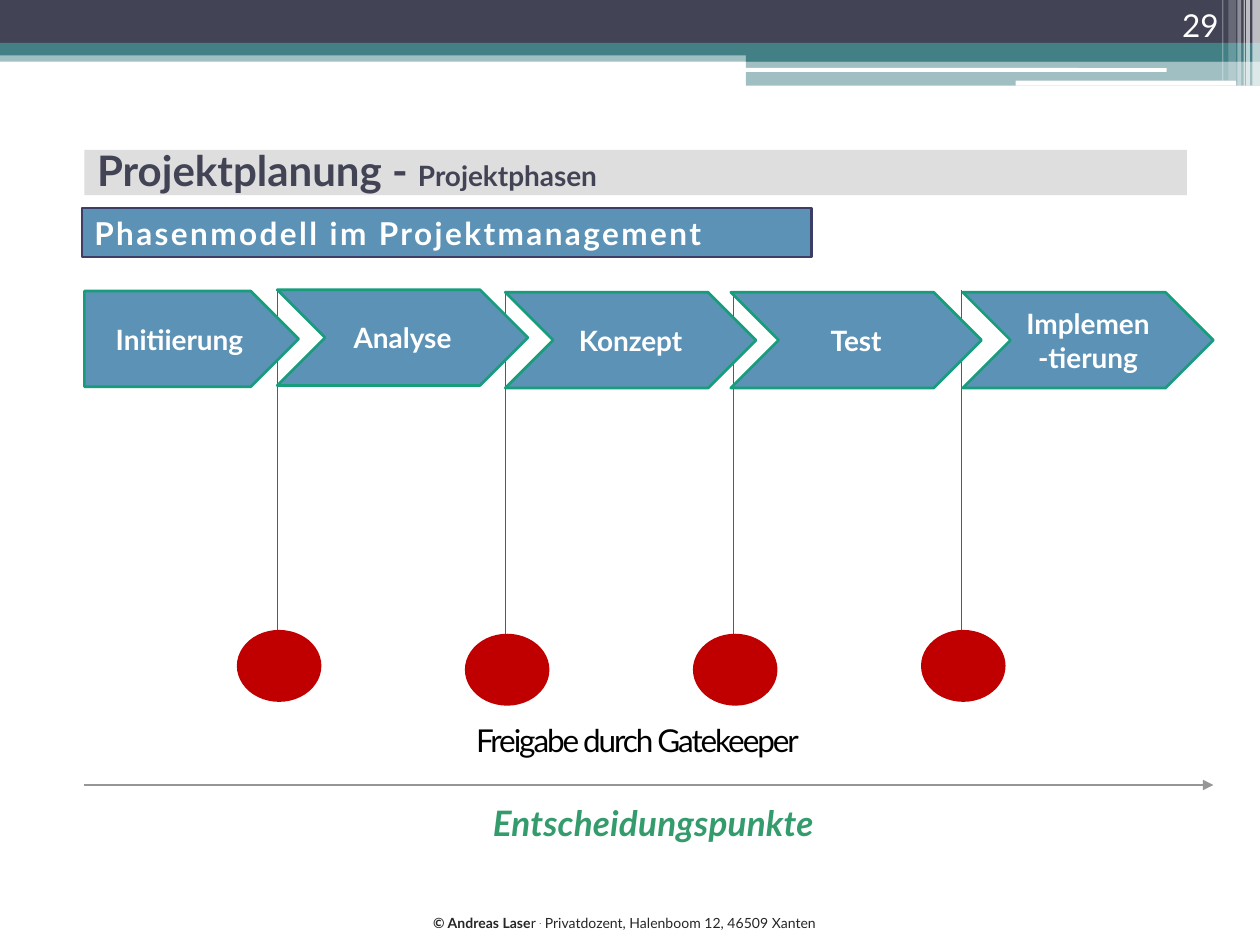
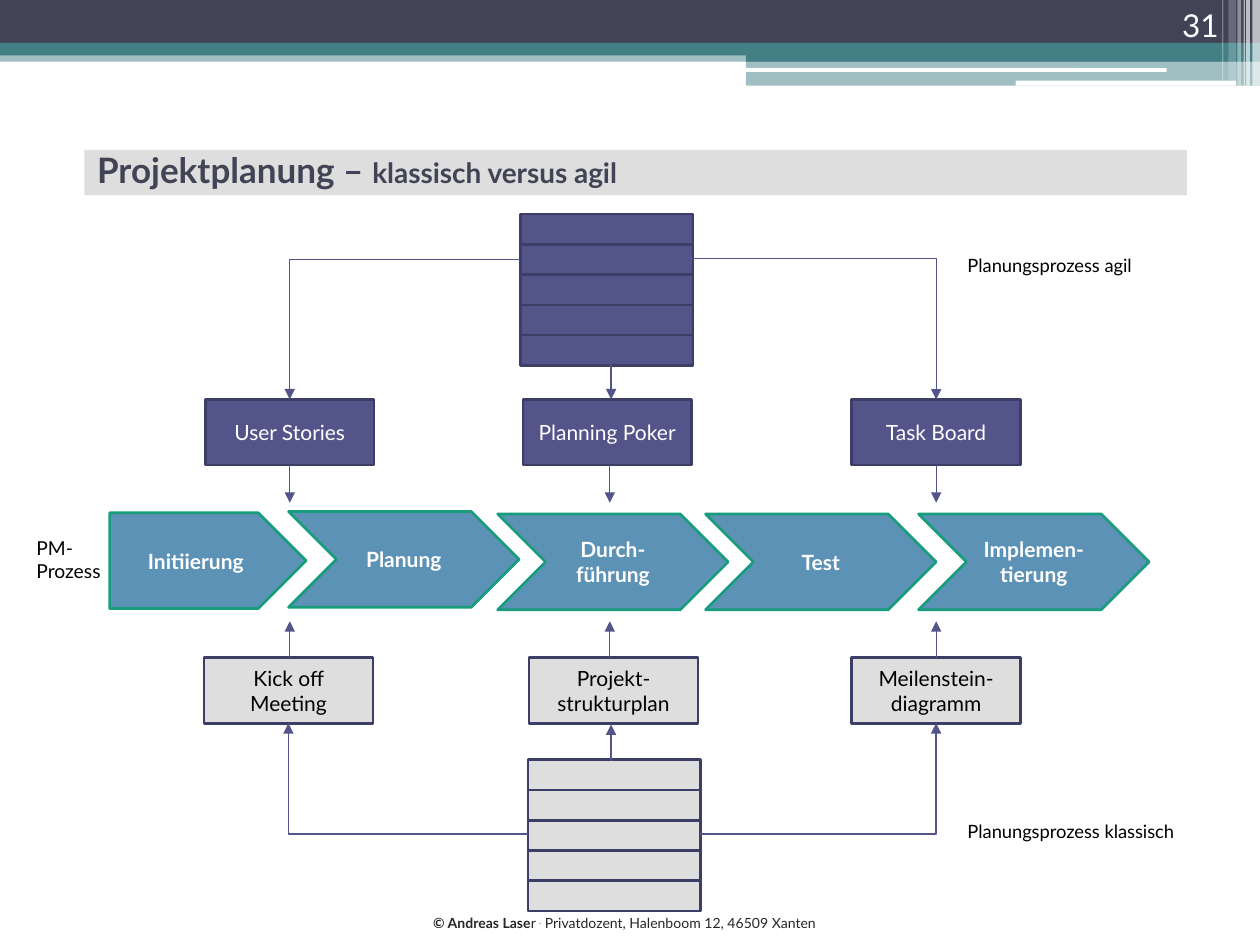
"""Build two project planning slides: gated phase model, and classic versus agile planning."""
import dataclasses

import lxml.etree
import pptx
import pptx.dml.color
import pptx.enum.shapes
import pptx.enum.text
import pptx.oxml.ns
import pptx.util

Inches = pptx.util.Inches
Pt = pptx.util.Pt
qn = pptx.oxml.ns.qn
RGB = pptx.dml.color.RGBColor.from_string
GEOMETRY = pptx.enum.shapes.MSO_SHAPE
ALIGN = pptx.enum.text.PP_ALIGN
ANCHOR = pptx.enum.text.MSO_ANCHOR


@dataclasses.dataclass(frozen=True)
class Theme:
    font: str = "Lato"
    slate: str = "424456"
    teal: str = "438086"
    white: str = "FFFFFF"
    black: str = "000000"
    grey: str = "DEDEDE"
    axis: str = "969696"
    footer: str = "262626"
    phase: str = "5C92B5"
    phase_edge: str = "179C7C"
    agile: str = "53548A"
    edge: str = "3D3E66"
    gate: str = "C00000"
    decision: str = "349C6C"
    title_size: float = 24
    compact_title_size: float = 20
    decision_size: float = 20
    heading_size: float = 18
    phase_size: float = 16
    box_size: float = 12
    process_size: float = 11
    label_size: float = 10.5
    footer_size: float = 8
    edge_width: float = 1.5
    line_width: float = 0.75


THEME = Theme()


def block(slide, at, fill=None, edge=None, geometry=GEOMETRY.RECTANGLE, alpha=100,
          text="", size=THEME.box_size, color=THEME.white, bold=False, italic=False,
          align=ALIGN.CENTER, anchor=ANCHOR.MIDDLE, spacing=0, wrap=True, inset=0.1):
    """Add a filled shape, or a text box when there is no fill."""
    place = [Inches(length) for length in at]
    if fill:
        part = slide.shapes.add_shape(geometry, *place)
        part.shadow.inherit = False
        part.fill.solid()
        part.fill.fore_color.rgb = RGB(fill)
        if alpha < 100:
            tint = part.element.spPr.find(qn("a:solidFill"))[0]
            lxml.etree.SubElement(tint, qn("a:alpha")).set("val", str(alpha * 1000))
        if edge:
            part.line.color.rgb = RGB(edge)
            part.line.width = Pt(THEME.edge_width)
        else:
            part.line.fill.background()
    else:
        part = slide.shapes.add_textbox(*place)
    if text:
        frame = part.text_frame
        frame.text = text
        frame.word_wrap = wrap
        frame.vertical_anchor = anchor
        frame.margin_left = frame.margin_right = Inches(inset)
        frame.margin_top = frame.margin_bottom = Inches(inset / 2)
        for paragraph in frame.paragraphs:
            paragraph.alignment = align
            font = paragraph.font
            font.name, font.size, font.bold, font.italic = THEME.font, Pt(size), bold, italic
            font.color.rgb = RGB(color)
        for properties in part.element.iter(qn("a:defRPr")):
            properties.set("spc", str(round(spacing * 100)))
    return part


def link(slide, start, end, color=THEME.agile, arrow=True):
    """Connect two points, turning once when they share no axis."""
    straight = start[0] == end[0] or start[1] == end[1]
    kinds = pptx.enum.shapes.MSO_CONNECTOR
    connector = slide.shapes.add_connector(
        kinds.STRAIGHT if straight else kinds.ELBOW,
        *[Inches(length) for length in (*start, *end)])
    connector.line.color.rgb = RGB(color)
    connector.line.width = Pt(THEME.line_width)
    properties = connector.element.spPr
    if not straight:
        properties.find(qn("a:prstGeom")).set("prst", "bentConnector2")
    if arrow:
        outline = properties.find(qn("a:ln"))
        lxml.etree.SubElement(outline, qn("a:tailEnd")).set("type", "triangle")
    lxml.etree.SubElement(properties, qn("a:effectLst"))


deck = pptx.Presentation()
deck.slide_width, deck.slide_height = Inches(10), Inches(7.5)
layout = deck.slide_layouts.get_by_name("Title Only")
gated = deck.slides.add_slide(layout)
compared = deck.slides.add_slide(layout)

BANDS = [
    ((0, 0.4, 10, 0.09), THEME.teal, 50),
    ((0, 0, 10, 0.34), THEME.slate, 100),
    ((0, 0.34, 10, 0.1), THEME.teal, 100),
    ((5.92, 0.39, 4.08, 0.1), THEME.teal, 100),
    ((5.92, 0.48, 4.08, 0.2), THEME.teal, 50),
    ((9.94, 0, 0.06, 0.68), THEME.white, 65),
    ((9.89, 0, 0.03, 0.68), THEME.white, 65),
    ((9.87, 0, 0.01, 0.68), THEME.white, 60),
    ((9.82, 0, 0.03, 0.68), THEME.white, 40),
    ((9.75, 0, 0.06, 0.64), THEME.white, 20),
    ((9.7, 0, 0.01, 0.64), THEME.white, 30),
    ((0.67, 1.19, 8.75, 0.36), THEME.grey, 100),
]
shared = [block(gated, at, fill, alpha=alpha) for at, fill, alpha in BANDS]
for at in ((5.91, 0.54, 3.35, 0.03), (8.06, 0.64, 1.75, 0.04)):
    shared.append(block(gated, at, THEME.white, geometry=GEOMETRY.ROUNDED_RECTANGLE))
imprint = block(gated, (3.34, 7.21, 3.33, 0.24), text="© Andreas Lase", size=THEME.footer_size,
                color=THEME.footer, align=ALIGN.LEFT, anchor=ANCHOR.TOP, wrap=False)
imprint_line = imprint.text_frame.paragraphs[0]
imprint_line.runs[0].font.bold = True
for words in ("r ", ".", " Privatdozent, Halenboom 12, 46509 Xanten"):
    imprint_line.add_run().text = words
imprint_line.runs[2].font.bold = False
imprint.element.findall(".//" + qn("a:rPr"))[-1].set("baseline", "30000")
shared.append(imprint)
for part in shared:
    layout.element.cSld.spTree.append(part.element)

HEADINGS = [
    (gated, "Projektplanung - ", THEME.title_size, "Projektphasen", "29"),
    (compared, "Projektplanung – ", THEME.compact_title_size, "klassisch versus agil", "31"),
]
for slide, topic, topic_size, aspect, number in HEADINGS:
    title = slide.shapes.title
    title.left, title.top, title.width, title.height = map(Inches, (0.67, 0.76, 8.84, 1.17))
    title.text_frame.vertical_anchor = ANCHOR.MIDDLE
    title.text_frame.auto_size = pptx.enum.text.MSO_AUTO_SIZE.NONE
    heading = title.text_frame.paragraphs[0]
    heading.alignment = ALIGN.LEFT
    heading.font.name, heading.font.bold = THEME.font, True
    heading.font.color.rgb = RGB(THEME.slate)
    for words, size in ((topic, topic_size), (aspect, THEME.phase_size)):
        run = heading.add_run()
        run.text, run.font.size = words, Pt(size)
    block(slide, (8.94, 0, 0.83, 0.4), text=number, size=THEME.heading_size,
          align=ALIGN.RIGHT, anchor=ANCHOR.BOTTOM)

block(gated, (0.65, 1.65, 5.79, 0.39), THEME.phase, THEME.edge,
      text="Phasenmodell im Projektmanagement", size=THEME.heading_size, bold=True,
      align=ALIGN.LEFT, spacing=1.4)
block(gated, (0.8, 6.36, 8.77, 0.33), text="Entscheidungspunkte", size=THEME.decision_size,
      color=THEME.decision, bold=True, italic=True, anchor=ANCHOR.TOP, spacing=0.1, inset=0)
block(gated, (3.25, 5.72, 3.62, 0.3), text="Freigabe durch Gatekeeper", size=THEME.heading_size,
      color=THEME.black, anchor=ANCHOR.TOP, spacing=-1.2, inset=0)
link(gated, (0.67, 6.23), (9.63, 6.23), THEME.axis)
for gate, drop in enumerate((0, 0.03, 0.03, 0)):
    gate_x = 2.2 + 1.81 * gate
    link(gated, (gate_x, 2.3 + drop), (gate_x, 5.16 + drop), arrow=False)
    block(gated, (gate_x - 0.31, 5.01 + drop, 0.65, 0.55), THEME.gate, THEME.gate,
          GEOMETRY.OVAL)

PHASES = [
    (gated, 2.3, 1.7, 1.99, THEME.phase_size,
     {"Initiierung": 0.67, "Analyse": 2.2, "Konzept": 4.01, "Test": 5.8,
      "Implemen-tierung": 7.64}),
    (compared, 4.06, 1.56, 1.83, THEME.box_size,
     {"Initiierung": 0.87, "Planung": 2.29, "Durch-führung": 3.95, "Test": 5.6,
      "Implemen-tierung": 7.29}),
]
for slide, top, first_width, width, size, phases in PHASES:
    for order, (phase, left) in enumerate(phases.items()):
        block(slide, (left, top + (0.01, 0, 0.02, 0.02, 0.02)[order],
                      width if order else first_width, 0.76),
              THEME.phase, THEME.phase_edge,
              GEOMETRY.CHEVRON if order else GEOMETRY.PENTAGON,
              text=phase, size=size, bold=True)

METHODS = [
    (THEME.agile, THEME.white, 3.17, (4.13, 1.7),
     {"User Stories": 1.63, "Planning Poker": 4.15, "Task Board": 6.76}),
    (THEME.grey, THEME.black, 5.22, (4.19, 6.03),
     {"Kick off Meeting": 1.62, "Projekt-strukturplan": 4.2, "Meilenstein-diagramm": 6.76}),
]
for fill, color, top, (stack_left, stack_top), methods in METHODS:
    for layer in range(5):
        block(compared, (stack_left, stack_top + 0.24 * layer, 1.37, 0.24), fill, THEME.edge)
    for method, left in methods.items():
        block(compared, (left, top, 1.34, 0.52), fill, THEME.edge, text=method, color=color)

for x in (2.3, 4.84, 7.43):
    link(compared, (x, 3.69), (x, 3.99))
    link(compared, (x, 5.22), (x, 4.93))
for start, end in (
    ((4.85, 2.88), (4.85, 3.17)), ((4.85, 6.04), (4.85, 5.75)),
    ((4.13, 2.06), (2.3, 3.17)), ((5.49, 2.05), (7.43, 3.17)),
    ((4.19, 6.62), (2.29, 5.74)), ((5.56, 6.62), (7.43, 5.74)),
):
    link(compared, start, end)

for at, words, size in (
    ((0.19, 4.21, 0.71, 0.47), "PM-\nProzess", THEME.process_size),
    ((7.58, 1.97, 1.55, 0.28), "Planungsprozess agil", THEME.label_size),
    ((7.58, 6.46, 1.88, 0.28), "Planungsprozess klassisch", THEME.label_size),
):
    block(compared, at, text=words, size=size, color=THEME.black, align=ALIGN.LEFT,
          anchor=ANCHOR.TOP, wrap=False)

deck.save("out.pptx")
